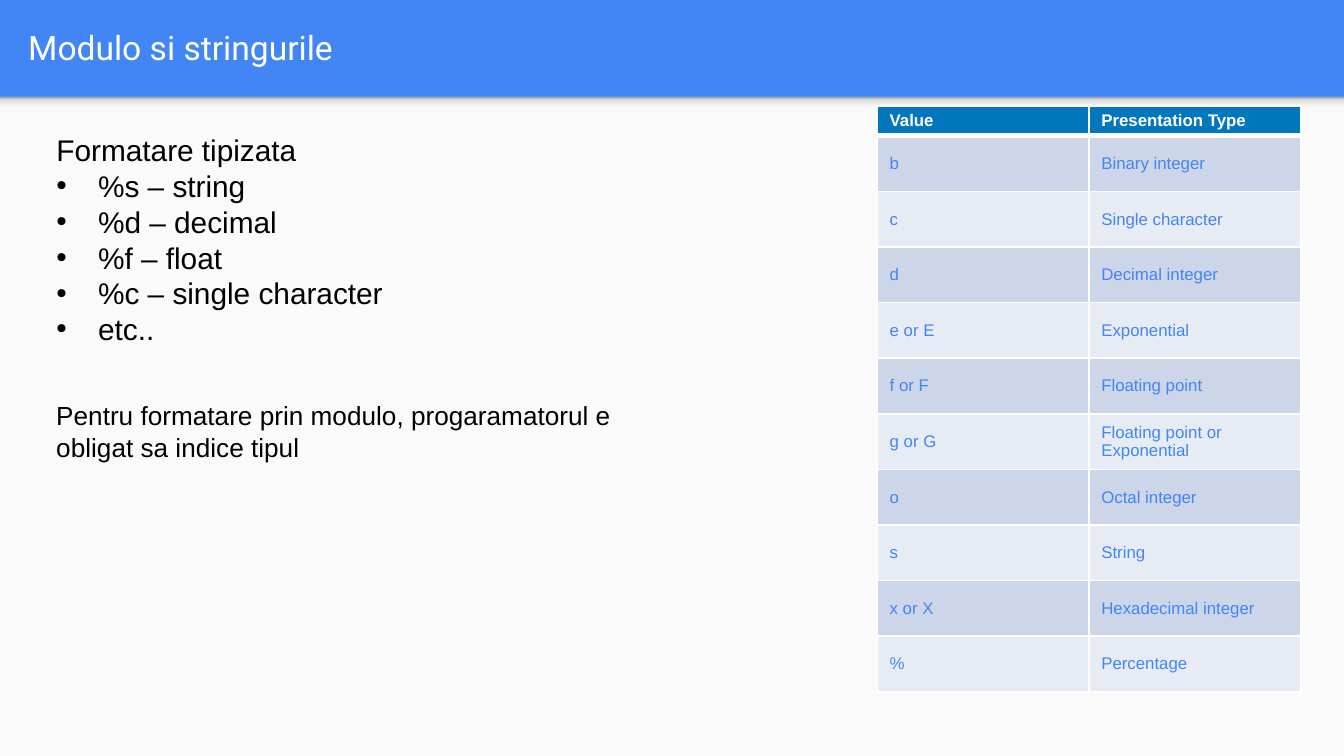
from lxml import etree
from pptx import Presentation
from pptx.dml.color import RGBColor
from pptx.enum.shapes import MSO_SHAPE
from pptx.enum.text import MSO_ANCHOR, MSO_AUTO_SIZE, PP_ALIGN
from pptx.oxml.ns import qn
from pptx.util import Inches, Pt

RECTANGLE = MSO_SHAPE.RECTANGLE
MIDDLE, TOP = MSO_ANCHOR.MIDDLE, MSO_ANCHOR.TOP
LEFT = PP_ALIGN.LEFT
NO_AUTOFIT = MSO_AUTO_SIZE.NONE

BLUE = RGBColor(0x42, 0x85, 0xF4)
HEADER_BLUE = RGBColor(0x02, 0x77, 0xBD)
PANEL = RGBColor(0xFA, 0xFA, 0xFA)
DARK_BAND = RGBColor(0xCC, 0xD6, 0xE8)
LIGHT_BAND = RGBColor(0xE7, 0xEC, 0xF4)
WHITE = RGBColor(0xFF, 0xFF, 0xFF)
BLACK = RGBColor(0, 0, 0)
SHADOW_STOPS = [(0, "999999"), (20, "DEDEDE"), (64, "F9F9F9"), (100, "F9F9F9")]

FORMATS = ["%s – string", "%d – decimal", "%f – float",
           "%c – single character", "etc.."]
PRESENTATION_TYPES = [
    ("Value", "Presentation Type"),
    ("b", "Binary integer"),
    ("c", "Single character"),
    ("d", "Decimal integer"),
    ("e or E", "Exponential"),
    ("f or F", "Floating point"),
    ("g or G", "Floating point or Exponential"),
    ("o", "Octal integer"),
    ("s", "String"),
    ("x or X", "Hexadecimal integer"),
    ("%", "Percentage"),
]


def place(shape, left, top, width, height):
    shape.left, shape.top = Inches(left), Inches(top)
    shape.width, shape.height = Inches(width), Inches(height)


def format_runs(paragraph, size, color, font="Arial", bold=False):
    for run in paragraph.runs:
        run.font.name = font
        run.font.size = Pt(size)
        run.font.bold = bold
        run.font.color.rgb = color


def set_bullet(paragraph, char=None, indent=0.0):
    """Give the paragraph a black hanging bullet, or none without a char."""
    properties = paragraph._p.get_or_add_pPr()
    properties.set("marL", str(Inches(indent)))
    properties.set("indent", str(-Inches(indent)))
    if char is None:
        etree.SubElement(properties, qn("a:buNone"))
        return
    color = etree.SubElement(properties, qn("a:buClr"))
    etree.SubElement(color, qn("a:srgbClr"), val=str(BLACK))
    etree.SubElement(properties, qn("a:buFont"), typeface="Arial")
    etree.SubElement(properties, qn("a:buChar"), char=char)


def add_backdrop(slide, top, height):
    """Add a full-width rectangle behind the placeholders."""
    band = slide.shapes.add_shape(
        RECTANGLE, 0, Inches(top), Inches(10), Inches(height))
    band.shadow.inherit = False
    band.line.fill.background()
    title = slide.shapes.title._element
    title.addprevious(band._element)
    return band


def fill_with_shadow(band):
    band.fill.gradient()
    band.fill.gradient_angle = 270
    stops = band._element.spPr.find(".//" + qn("a:gsLst"))
    for old_stop in list(stops):
        stops.remove(old_stop)
    for percent, color in SHADOW_STOPS:
        stop = etree.SubElement(stops, qn("a:gs"), pos=str(percent * 1000))
        etree.SubElement(stop, qn("a:srgbClr"), val=color)


def fill_title(title):
    place(title, 0.11, 0.02, 9.65, 0.66)
    frame = title.text_frame
    frame.text = "Modulo si stringurile"
    frame.auto_size = NO_AUTOFIT
    frame.vertical_anchor = MIDDLE
    frame.paragraphs[0].alignment = LEFT
    format_runs(frame.paragraphs[0], 18, WHITE, "Roboto")


def fill_format_list(body):
    place(body, 0.32, 0.93, 4.68, 1.99)
    frame = body.text_frame
    frame.text = "\n".join(["Formatare tipizata"] + FORMATS)
    frame.auto_size = NO_AUTOFIT
    frame.vertical_anchor = TOP
    for index, paragraph in enumerate(frame.paragraphs):
        paragraph.line_spacing = Pt(19.2)
        paragraph.space_before = Pt(0)
        if index == 0:
            set_bullet(paragraph)
        else:
            set_bullet(paragraph, "•", 0.31)
        format_runs(paragraph, 16, BLACK)


def add_remark(slide):
    remark = slide.shapes.add_textbox(
        Inches(0.32), Inches(2.92), Inches(4.38), Inches(0.57))
    frame = remark.text_frame
    frame.word_wrap = True
    frame.text = ("Pentru formatare prin modulo, progaramatorul e "
                  "obligat sa indice tipul")
    frame.paragraphs[0].line_spacing = Pt(17.1)
    format_runs(frame.paragraphs[0], 14, BLACK)


def set_borders(cell, **widths):
    """Draw white borders; widths are points by side: L, R, T, B."""
    properties = cell._tc.get_or_add_tcPr()
    for side, width in widths.items():
        line = etree.SubElement(properties, qn("a:ln" + side), w=str(Pt(width)))
        fill = etree.SubElement(line, qn("a:solidFill"))
        etree.SubElement(fill, qn("a:srgbClr"), val=str(WHITE))


def fill_cell(cell, text, row):
    is_header = row == 0
    set_borders(cell, L=1, R=1, T=3 if row == 1 else 1, B=3 if is_header else 1)
    cell.fill.solid()
    if is_header:
        cell.fill.fore_color.rgb = HEADER_BLUE
    else:
        cell.fill.fore_color.rgb = DARK_BAND if row % 2 else LIGHT_BAND
    cell.vertical_anchor = MIDDLE
    cell.margin_left = cell.margin_right = Inches(0.09)
    cell.margin_top = cell.margin_bottom = Inches(0.04)
    cell.text = text
    format_runs(cell.text_frame.paragraphs[0], 9,
                WHITE if is_header else BLUE, bold=is_header)


def add_type_table(slide):
    table = slide.shapes.add_table(
        len(PRESENTATION_TYPES), 2,
        Inches(6.53), Inches(0.79), Inches(3.15), Inches(4.37)).table
    for row, texts in enumerate(PRESENTATION_TYPES):
        table.rows[row].height = Inches(0.414 if row else 0.22)
        for column, text in enumerate(texts):
            fill_cell(table.cell(row, column), text, row)


def main():
    presentation = Presentation()
    presentation.slide_width = Inches(10)
    presentation.slide_height = Inches(5.625)
    slide = presentation.slides.add_slide(presentation.slide_layouts[1])
    slide.background.fill.solid()
    slide.background.fill.fore_color.rgb = BLUE

    panel = add_backdrop(slide, 0.72, 4.905)
    panel.fill.solid()
    panel.fill.fore_color.rgb = PANEL
    fill_with_shadow(add_backdrop(slide, 0.72, 0.12))

    fill_title(slide.shapes.title)
    fill_format_list(slide.placeholders[1])
    add_type_table(slide)
    add_remark(slide)
    presentation.save("out.pptx")


if __name__ == "__main__":
    main()
